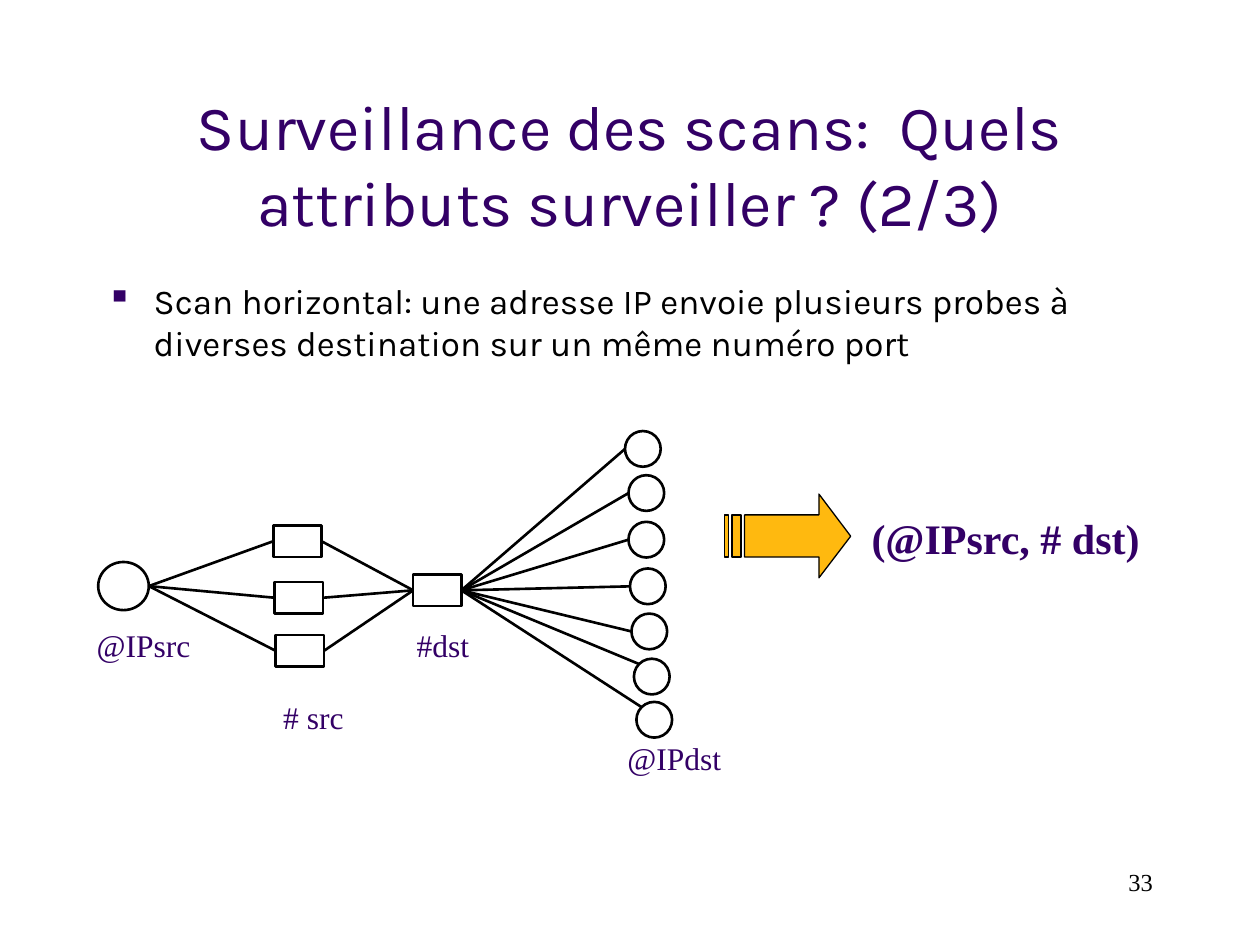
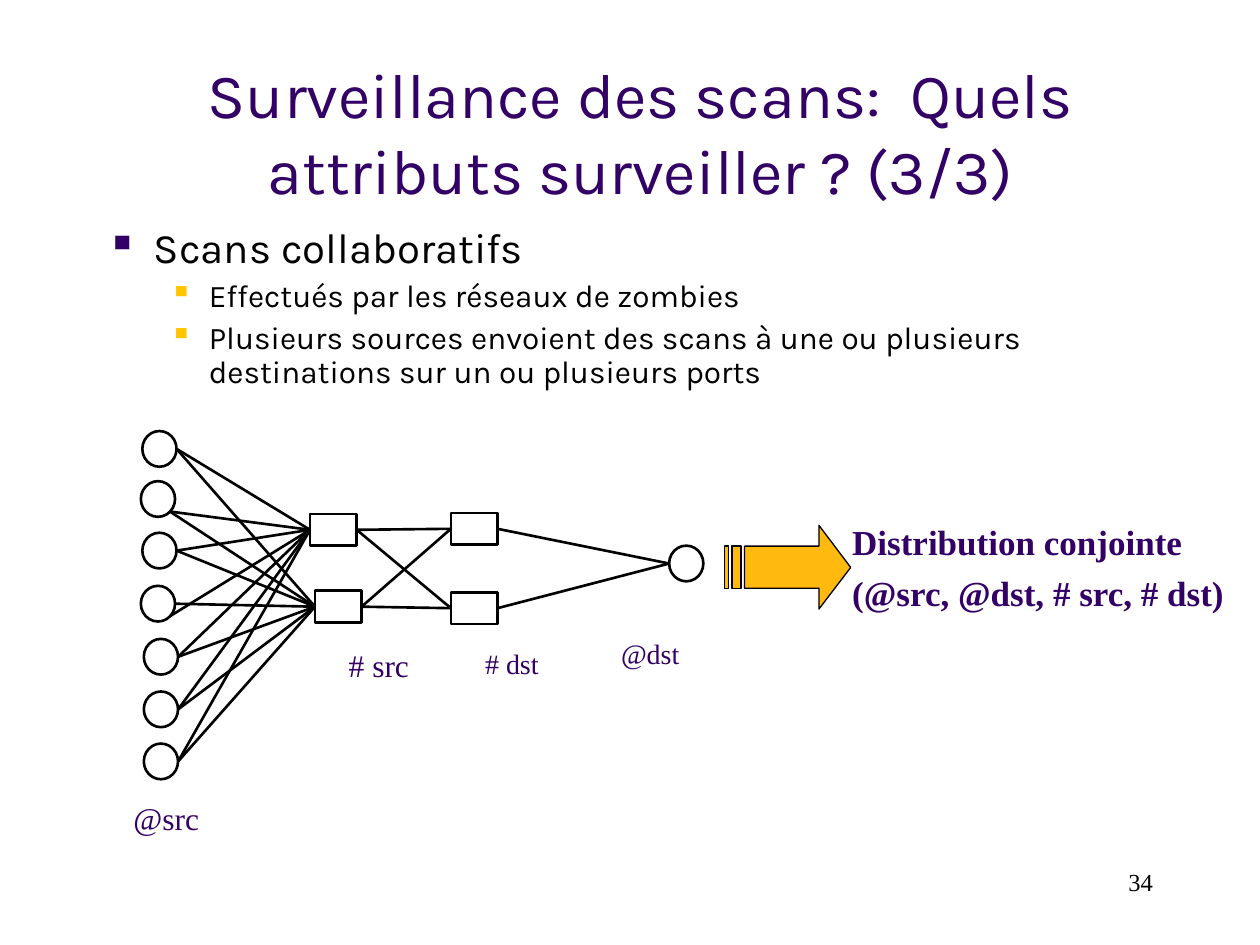
from dataclasses import dataclass
from itertools import product
from typing import NamedTuple

from lxml import etree
from pptx import Presentation
from pptx.dml.color import RGBColor
from pptx.enum.shapes import MSO_CONNECTOR, MSO_SHAPE
from pptx.enum.text import MSO_ANCHOR, PP_ALIGN
from pptx.oxml.ns import qn
from pptx.util import Cm, Pt

STRAIGHT = MSO_CONNECTOR.STRAIGHT
HOST, PORT = MSO_SHAPE.OVAL, MSO_SHAPE.RECTANGLE
TOP, MIDDLE = MSO_ANCHOR.TOP, MSO_ANCHOR.MIDDLE
LEFT, CENTER, RIGHT = PP_ALIGN.LEFT, PP_ALIGN.CENTER, PP_ALIGN.RIGHT

# Attachment points, as fractions of a node's width and height
WEST, EAST = (0, 0.5), (1, 0.5)
NORTH_WEST, SOUTH_EAST = (0.15, 0.15), (0.85, 0.85)


@dataclass(frozen=True)
class Theme:
    purple: RGBColor = RGBColor(0x33, 0x00, 0x66)
    gold: RGBColor = RGBColor(0xFF, 0xC6, 0x00)
    amber: RGBColor = RGBColor(0xFF, 0xB9, 0x0F)
    black: RGBColor = RGBColor(0, 0, 0)
    heading_font: str = "Karla"
    label_font: str = "Times New Roman"
    title: float = 36
    large: float = 24
    medium: float = 20
    label: float = 18
    small_label: float = 16
    page: float = 14
    node_line: float = 1.5
    arrow_line: float = 0.75


THEME = Theme()


class Box(NamedTuple):
    """Left, top, width and height in centimetres."""
    x: float
    y: float
    w: float
    h: float

    def emu(self) -> list[int]:
        return [Cm(length) for length in self]

    def at(self, anchor: tuple[float, float]) -> tuple[int, int]:
        return Cm(self.x + anchor[0] * self.w), Cm(self.y + anchor[1] * self.h)


@dataclass
class Line:
    """One paragraph with its formatting."""
    text: str
    size: float
    color: RGBColor = THEME.purple
    font: str = THEME.label_font
    bold: bool = False
    align: PP_ALIGN = LEFT
    before: float = 0
    spacing: float | None = None
    bullet: RGBColor | None = None
    level: int = 0


class Link(NamedTuple):
    start: Box
    end: Box
    start_at: tuple[float, float] = EAST
    end_at: tuple[float, float] = WEST


class Label(NamedTuple):
    text: str
    x: float
    y: float
    w: float
    size: float = THEME.label


BULLET_INDENTS = [(0.95, -0.95), (2.06, -0.79)]
ARROW_PARTS = [
    [(0.4, 0.42), (1.9, 0.42), (1.9, 0), (2.54, 0.85), (1.9, 1.69),
     (1.9, 1.27), (0.4, 1.27)],
    *[[(a, 0.42), (b, 0.42), (b, 1.27), (a, 1.27)]
      for a, b in [(0, 0.08), (0.15, 0.33)]],
]
ARROW_LEFT = 14.61


def set_bullet(paragraph, color: RGBColor, level: int) -> None:
    margin, indent = BULLET_INDENTS[level]
    properties = paragraph._p.get_or_add_pPr()
    properties.set("marL", str(Cm(margin)))
    properties.set("indent", str(Cm(indent)))
    bullet_color = etree.SubElement(properties, qn("a:buClr"))
    etree.SubElement(bullet_color, qn("a:srgbClr"), val=str(color))
    etree.SubElement(properties, qn("a:buChar"), char="▪")


def add_text(slide, box: Box, lines: list[Line], anchor=TOP) -> None:
    frame = slide.shapes.add_textbox(*box.emu()).text_frame
    frame.word_wrap = True
    frame.vertical_anchor = anchor
    for index, line in enumerate(lines):
        paragraph = frame.add_paragraph() if index else frame.paragraphs[0]
        if line.bullet is not None:
            set_bullet(paragraph, line.bullet, line.level)
        paragraph_format = {"alignment": line.align, "level": line.level,
                            "space_before": Pt(line.before),
                            "line_spacing": line.spacing}
        for name, value in paragraph_format.items():
            setattr(paragraph, name, value)
        run = paragraph.add_run()
        run.text = line.text
        font_format = {"name": line.font, "size": Pt(line.size), "bold": line.bold}
        for name, value in font_format.items():
            setattr(run.font, name, value)
        run.font.color.rgb = line.color


def set_line(line, width: float) -> None:
    line.color.rgb = THEME.black
    line.width = Pt(width)


def add_nodes(slide, kind: MSO_SHAPE, nodes: list[Box]) -> None:
    for node in nodes:
        shape = slide.shapes.add_shape(kind, *node.emu())
        shape.shadow.inherit = False
        shape.fill.background()
        set_line(shape.line, THEME.node_line)


def add_links(slide, links: list[Link]) -> None:
    for link in links:
        connector = slide.shapes.add_connector(
            STRAIGHT, *link.start.at(link.start_at), *link.end.at(link.end_at))
        set_line(connector.line, THEME.node_line)
        etree.SubElement(connector._element.spPr, qn("a:effectLst"))


def add_labels(slide, labels: list[Label]) -> None:
    for label in labels:
        add_text(slide, Box(label.x, label.y, label.w, 1),
                 [Line(label.text, label.size)])


def add_striped_arrow(slide, top: float) -> None:
    outlines = [[(Cm(ARROW_LEFT + x), Cm(top + y)) for x, y in part]
                for part in ARROW_PARTS]
    builder = slide.shapes.build_freeform(*outlines[0][0])
    for index, outline in enumerate(outlines):
        if index:
            builder.move_to(*outline[0])
        builder.add_line_segments(outline[1:], close=True)
    arrow = builder.convert_to_shape()
    arrow.shadow.inherit = False
    arrow.fill.solid()
    arrow.fill.fore_color.rgb = THEME.amber
    set_line(arrow.line, THEME.arrow_line)


def add_page(deck, part: int, number: int, title_at: tuple[float, float]):
    """Blank slide with the shared title and page number."""
    slide = deck.slides.add_slide(deck.slide_layouts[6])
    title = f"Surveillance des scans:  Quels attributs surveiller ? ({part}/3)"
    add_text(slide, Box(*title_at, 21.59, 3.18),
             [Line(title, THEME.title, font=THEME.heading_font, align=CENTER)], MIDDLE)
    add_text(slide, Box(18.21, 17.35, 5.28, 1.27),
             [Line(str(number), THEME.page, THEME.black, align=RIGHT)])
    return slide


def bullet_line(text: str, size: float, **options) -> Line:
    options = {"bullet": THEME.purple, **options}
    return Line(text, size, THEME.black, THEME.heading_font, **options)


def add_horizontal_scan(deck) -> None:
    slide = add_page(deck, 2, 33, (1.9, 1.7))
    add_text(slide, Box(1.9, 5.51, 21.18, 2.54), [bullet_line(
        "Scan horizontal: une adresse IP envoie plusieurs probes à "
        "diverses destination sur un même numéro port", THEME.medium)])

    # One source, three source ports, one destination port, many destinations
    source = Box(1.98, 11.33, 1.02, 0.97)
    source_ports = [Box(x, y, 0.97, 0.64)
                    for x, y in [(5.51, 10.59), (5.54, 11.73), (5.56, 12.8)]]
    target_port = Box(8.33, 11.58, 0.97, 0.64)
    targets = [Box(x, y, 0.72, 0.72) for x, y in [
        (12.6, 8.69), (12.67, 9.58), (12.67, 10.52), (12.7, 11.46),
        (12.73, 12.37), (12.78, 13.28), (12.83, 14.15)]]
    add_nodes(slide, HOST, [source, *targets])
    add_nodes(slide, PORT, [*source_ports, target_port])
    add_links(slide, [Link(source, port) for port in source_ports])
    add_links(slide, [Link(port, target_port) for port in source_ports])
    add_links(slide, [Link(target_port, target) for target in targets[:-2]])
    add_links(slide, [Link(target_port, target, end_at=NORTH_WEST)
                      for target in targets[-2:]])
    add_labels(slide, [
        Label("@IPsrc", 1.7, 12.5, 2.67), Label("# src", 5.46, 13.94, 1.93),
        Label("#dst", 8.15, 12.5, 1.83), Label("@IPdst", 12.4, 14.78, 2.59)])

    # Attributes to watch
    add_striped_arrow(slide, 9.96)
    add_text(slide, Box(17.32, 10.2, 7, 1.7),
             [Line("(@IPsrc, # dst)", THEME.large, bold=True)])


def add_collaborative_scan(deck) -> None:
    slide = add_page(deck, 3, 34, (2.12, 1.06))
    detail = {"bullet": THEME.gold, "level": 1, "before": 4.5, "spacing": 0.9}
    add_text(slide, Box(1.9, 4.45, 21.59, 3.81), [
        bullet_line("Scans collaboratifs", THEME.large, spacing=0.9),
        bullet_line("Effectués par les réseaux de zombies", THEME.label, **detail),
        bullet_line("Plusieurs sources envoient des scans à une ou plusieurs "
                    "destinations sur un ou plusieurs ports", THEME.label, **detail)])

    # Many sources, two source ports, two destination ports, one destination
    sources = [Box(x, y, 0.69, 0.72) for x, y in [
        (2.87, 8.69), (2.84, 9.7), (2.87, 10.74), (2.84, 11.81),
        (2.9, 12.88), (2.9, 13.94), (2.9, 14.99)]]
    source_ports = [Box(x, y, 0.94, 0.64) for x, y in [(6.25, 10.36), (6.35, 11.91)]]
    target_ports = [Box(9.09, y, 0.94, 0.64) for y in (10.34, 11.94)]
    target = Box(13.49, 11, 0.69, 0.72)
    low_exits = [(1, 0), (1, 1), (3, 0)]
    add_nodes(slide, HOST, [*sources, target])
    add_nodes(slide, PORT, source_ports + target_ports)
    add_links(slide, [
        Link(source, port, SOUTH_EAST if (row, column) in low_exits else EAST)
        for (row, source), (column, port)
        in product(enumerate(sources), enumerate(source_ports))])
    add_links(slide, [Link(*pair) for pair in product(source_ports, target_ports)])
    add_links(slide, [Link(port, target) for port in target_ports])
    add_labels(slide, [
        Label("@src", 2.44, 15.98, 1.98), Label("# src", 6.78, 12.9, 2.11),
        Label("# dst", 9.53, 12.9, 1.75, THEME.small_label),
        Label("@dst", 12.27, 12.7, 2.67, THEME.small_label)])

    # Attributes to watch
    add_striped_arrow(slide, 10.59)
    add_text(slide, Box(16.93, 10.37, 8.47, 2.33), [
        Line("Distribution conjointe", THEME.medium, bold=True),
        Line("(@src, @dst, # src, # dst)", THEME.medium, bold=True, before=5)])


def main() -> None:
    deck = Presentation()
    deck.slide_width, deck.slide_height = Cm(25.4), Cm(19.05)
    add_horizontal_scan(deck)
    add_collaborative_scan(deck)
    deck.save("out.pptx")


if __name__ == "__main__":
    main()
